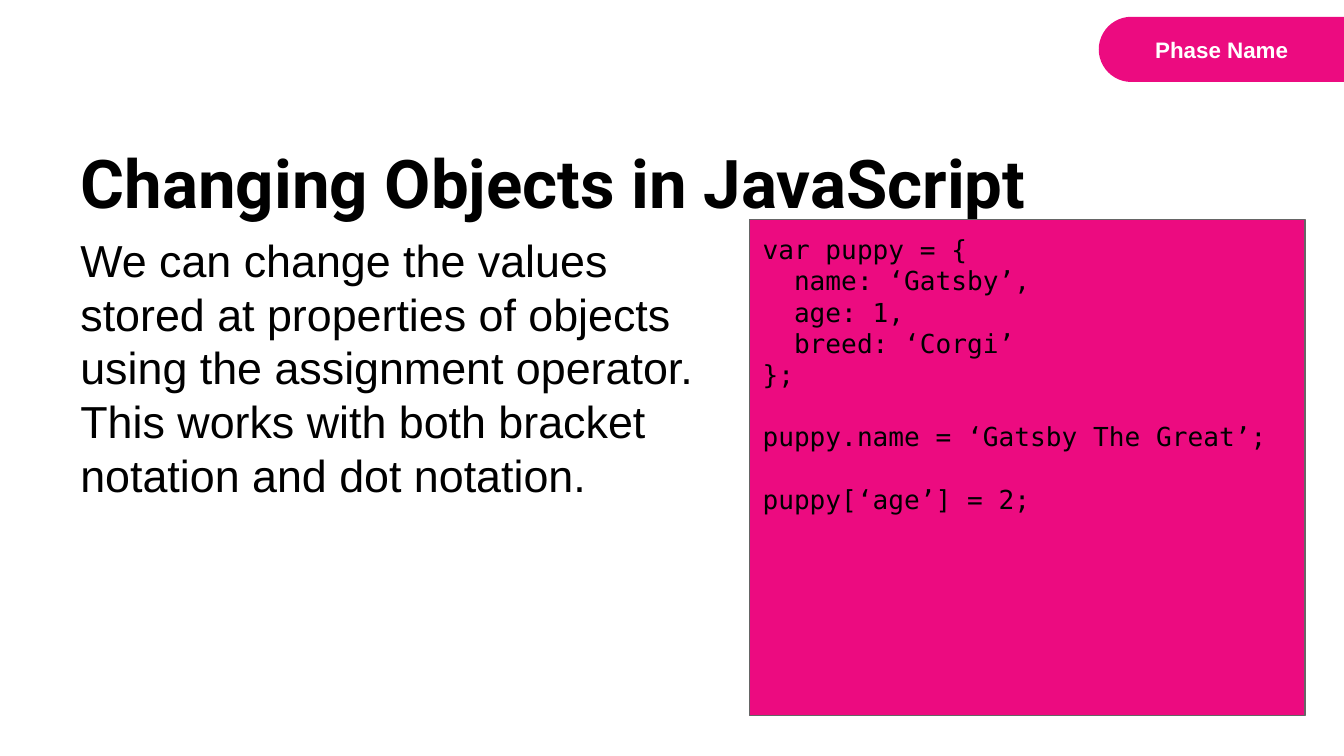
from dataclasses import dataclass

from pptx import Presentation, util as u
from pptx.dml.color import RGBColor
from pptx.enum import shapes, text

PX = 4572  # EMU per px, 200 px to the inch
INSET = 20
COLORS = {"pink": "EC0B80", "gray": "666666", "black": "000000", "white": "FFFFFF"}

CODE = """var puppy = {
  name: ‘Gatsby’,
  age: 1,
  breed: ‘Corgi’
};

puppy.name = ‘Gatsby The Great’;

puppy[‘age’] = 2;"""
CODE_LINE_PT = 16.5


@dataclass(frozen=True)
class Box:
    left: int
    top: int
    width: int
    height: int

    def emu(self) -> tuple[int, ...]:
        return tuple(v * PX for v in (self.left, self.top, self.width, self.height))


@dataclass(frozen=True)
class Style:
    font: str
    size: int
    color: str = "black"
    bold: bool = False
    align: text.PP_ALIGN = text.PP_ALIGN.LEFT
    anchor: text.MSO_ANCHOR = text.MSO_ANCHOR.TOP


def rgb(name: str) -> RGBColor:
    return RGBColor.from_string(COLORS[name])


def write(tf, content: str, style: Style) -> None:
    """Write one paragraph per line; a blank line becomes space before the next."""
    tf.word_wrap = True
    tf.auto_size = text.MSO_AUTO_SIZE.NONE
    tf.vertical_anchor = style.anchor
    tf.margin_left = tf.margin_top = tf.margin_right = tf.margin_bottom = INSET * PX
    p, gap = tf.paragraphs[0], 0
    for i, line in enumerate(content.split("\n")):
        if not line:
            gap += CODE_LINE_PT
            continue
        if i:
            p = tf.add_paragraph()
        p.text = line
        p.alignment = style.align
        p.space_before, gap = u.Pt(gap), 0
        p.font.name, p.font.size, p.font.bold = style.font, u.Pt(style.size), style.bold
        p.font.color.rgb = rgb(style.color)


def add_text(s, box: Box, content: str, style: Style) -> None:
    write(s.shapes.add_textbox(*box.emu()).text_frame, content, style)


def add_panel(s, kind: shapes.MSO_SHAPE, box: Box, fill: str, line: str | None = None):
    sp = s.shapes.add_shape(kind, *box.emu())
    sp.shadow.inherit = False
    sp.fill.solid()
    sp.fill.fore_color.rgb = rgb(fill)
    if line:
        sp.line.color.rgb = rgb(line)
        sp.line.width = u.Pt(0.75)
    else:
        sp.line.fill.background()
    return sp


def main() -> None:
    prs = Presentation()
    prs.slide_width, prs.slide_height = 2000 * PX, 1125 * PX
    s = prs.slides.add_slide(prs.slide_layouts.get_by_name("Title Only"))
    s.background.fill.solid()
    s.background.fill.fore_color.rgb = rgb("white")

    title = s.shapes.title
    title.left, title.top, title.width, title.height = Box(100, 162, 1800, 188).emu()
    write(title.text_frame, "Changing Objects in JavaScript",
          Style("Roboto", 36, bold=True, anchor=text.MSO_ANCHOR.BOTTOM))

    tab = add_panel(s, shapes.MSO_SHAPE.ROUND_2_SAME_RECTANGLE,
                    Box(1770, -110, 97, 367), "pink")
    tab.rotation = 270
    tab.adjustments[0], tab.adjustments[1] = 0.5, 0
    add_text(s, Box(1646, 34, 344, 80), "Phase Name",
             Style("Arial", 12, "white", True, text.PP_ALIGN.CENTER))

    add_text(s, Box(100, 326, 966, 814),
             "We can change the values stored at properties of objects using the "
             "assignment operator. This works with both bracket notation and dot notation.",
             Style("Arial", 24))

    code = add_panel(s, shapes.MSO_SHAPE.RECTANGLE, Box(1115, 327, 827, 738), "pink", "gray")
    write(code.text_frame, CODE, Style("DejaVu Sans Mono", 14))

    prs.save("out.pptx")


if __name__ == "__main__":
    main()
